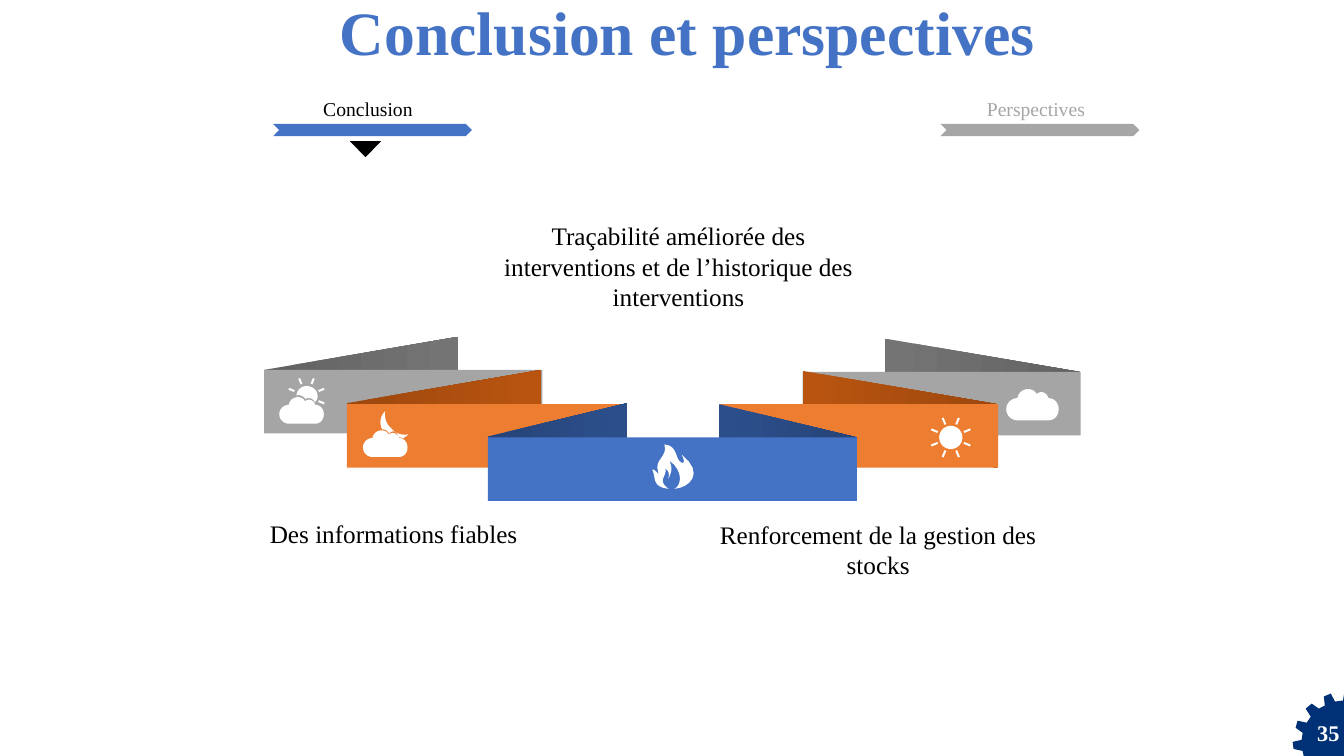
"""Build the conclusion slide with its folded ribbon, icons and step markers."""
import math
from dataclasses import dataclass

import pptx
import pptx.dml.color
import pptx.enum.shapes
import pptx.enum.text
import pptx.util

Inches = pptx.util.Inches
Shape = pptx.enum.shapes.MSO_SHAPE
Point = tuple[float, float]
Outline = list[Point]


@dataclass(frozen=True)
class Theme:
    font: str = "Times New Roman"
    blue: str = "4472C4"
    orange: str = "ED7D31"
    grey: str = "A5A5A5"
    inactive: str = "A6A6A6"
    navy: str = "003076"
    black: str = "000000"
    white: str = "FFFFFF"
    grey_fold: tuple[str, str] = ("747474", "636363")
    orange_fold: tuple[str, str] = ("B85410", "9E480E")
    blue_fold: tuple[str, str] = ("2C4F8C", "264478")
    title_size: int = 44
    body_size: int = 18
    number_size: int = 16
    step_size: int = 14


@dataclass(frozen=True)
class Step:
    name: str
    left: float
    caption_left: float
    caption_width: float
    color: str


@dataclass(frozen=True)
class Fold:
    inner: float
    outer: float
    top: float
    colors: tuple[str, str]


@dataclass(frozen=True)
class Band:
    left: float
    top: float
    width: float
    color: str
    folds: tuple[Fold, ...]


@dataclass(frozen=True)
class Caption:
    text: str
    left: float
    top: float
    width: float
    height: float


THEME = Theme()
BAND_HEIGHT = 0.63
STEPS = [
    Step("Conclusion", 2.71, 3.1, 1.1, THEME.blue),
    Step("Perspectives", 9.33, 9.68, 1.19, THEME.inactive),
]
BANDS = [
    Band(2.62, 3.67, 2.76, THEME.grey, (Fold(4.55, 2.62, 3.34, THEME.grey_fold),)),
    Band(7.96, 3.69, 2.76, THEME.grey, (Fold(8.78, 10.71, 3.36, THEME.grey_fold),)),
    Band(7.14, 4.01, 2.76, THEME.orange, (Fold(7.96, 9.89, 3.68, THEME.orange_fold),)),
    Band(3.44, 4.01, 2.76, THEME.orange, (Fold(5.37, 3.44, 3.67, THEME.orange_fold),)),
    Band(4.84, 4.34, 3.66, THEME.blue, (Fold(7.13, 8.5, 4.01, THEME.blue_fold),
                                      Fold(6.22, 4.84, 4.0, THEME.blue_fold))),
]
CAPTIONS = [
    Caption("Renforcement de la gestion des stocks", 6.71, 5.1, 4, 0.71),
    Caption("Traçabilité améliorée des interventions et de l’historique des interventions",
            4.73, 2.14, 4, 1.01),
    Caption("Des informations fiables", 2.39, 5.09, 3.03, 0.4),
]
CLOUD = [(0.22, 0), (0.25, 0), (0.29, 0.02), (0.3, 0.05), (0.31, 0.04), (0.33, 0.03),
         (0.35, 0.03), (0.38, 0.03), (0.41, 0.06), (0.42, 0.09), (0.48, 0.09), (0.52, 0.14),
         (0.52, 0.2), (0.52, 0.26), (0.48, 0.31), (0.42, 0.31), (0.32, 0.31), (0.21, 0.31),
         (0.11, 0.31), (0.05, 0.31), (0, 0.26), (0, 0.2), (0, 0.14), (0.05, 0.09),
         (0.11, 0.09), (0.12, 0.04), (0.16, 0), (0.22, 0)]
HIDDEN_SUN = [(3.04, 3.83), (3.1, 3.83), (3.15, 3.87), (3.15, 3.93), (3.15, 3.96),
              (3.14, 3.98), (3.12, 3.99), (3.12, 3.97), (3.09, 3.95), (3.07, 3.95),
              (3.05, 3.95), (3.04, 3.95), (3.03, 3.96), (3.02, 3.94), (2.99, 3.92),
              (2.96, 3.92), (2.95, 3.92), (2.94, 3.92), (2.94, 3.93), (2.94, 3.87),
              (2.99, 3.83), (3.04, 3.83)]
MOON = [(3.82, 4.08), (3.81, 4.14), (3.83, 4.21), (3.88, 4.25), (3.92, 4.3), (3.98, 4.32),
        (4.05, 4.31), (4.03, 4.33), (4.01, 4.34), (4, 4.35), (3.98, 4.34), (3.97, 4.34),
        (3.95, 4.34), (3.95, 4.31), (3.93, 4.28), (3.9, 4.28), (3.88, 4.28), (3.87, 4.29),
        (3.86, 4.3), (3.84, 4.27), (3.82, 4.26), (3.79, 4.26), (3.76, 4.2), (3.77, 4.13),
        (3.82, 4.08)]
FLAME = [(6.63, 4.85), (6.46, 4.83), (6.51, 4.74), (6.47, 4.66), (6.5, 4.65), (6.54, 4.73),
         (6.53, 4.69), (6.48, 4.55), (6.63, 4.54), (6.59, 4.41), (6.73, 4.42), (6.69, 4.56),
         (6.76, 4.59), (6.78, 4.6), (6.8, 4.58), (6.76, 4.51), (7, 4.7), (6.83, 4.84),
         (6.69, 4.85), (6.76, 4.82), (6.78, 4.67), (6.64, 4.57), (6.68, 4.66), (6.65, 4.7),
         (6.63, 4.75), (6.63, 4.73), (6.65, 4.68), (6.6, 4.65), (6.62, 4.73), (6.51, 4.76),
         (6.63, 4.85)]
GEAR_RIM = [(13.2, 6.88), (13.24, 6.96), (13.32, 6.95), (13.33, 6.89), (13.33, 7.03),
            (13.3, 7.03), (13.17, 7.08), (13.05, 7.18), (12.99, 7.34), (13.01, 7.48),
            (13.03, 7.5), (12.93, 7.5), (12.92, 7.45), (12.83, 7.43), (12.82, 7.36),
            (12.91, 7.34), (12.92, 7.27), (12.85, 7.22), (12.87, 7.15), (12.96, 7.17),
            (13, 7.11), (12.95, 7.03), (13.01, 6.98), (13.08, 7.03), (13.14, 7), (13.13, 6.91)]
GEAR_HUB = [(13.33, 7.01), (13.33, 7.5), (12.95, 7.5), (12.95, 7.44), (12.99, 7.25),
            (13.1, 7.1), (13.26, 7.02)]


def rgb(color: str) -> pptx.dml.color.RGBColor:
    """Turn a hex string into a colour."""
    return pptx.dml.color.RGBColor.from_string(color)


def curve(controls: Outline, steps: int = 8) -> Outline:
    """Sample a chain of cubic curves."""
    points = [controls[0]]
    for start in range(0, len(controls) - 1, 3):
        knots = controls[start:start + 4]
        for step in range(1, steps + 1):
            t = step / steps
            weights = [math.comb(3, k) * t**k * (1 - t) ** (3 - k) for k in range(4)]
            points.append(tuple(sum(w * knot[axis] for w, knot in zip(weights, knots))
                                for axis in (0, 1)))
    return points


def cloud(left: float, top: float, scale: float = 1) -> Outline:
    """Place a cloud outline."""
    return curve([(left + scale * x, top + scale * y) for x, y in CLOUD])


def disc(x: float, y: float, radius: float) -> Outline:
    """Return a round outline."""
    angles = [math.tau * k / 40 for k in range(40)]
    return [(x + radius * math.cos(a), y + radius * math.sin(a)) for a in angles]


def rays(x: float, y: float, near: float, far: float, turns: range) -> list[Outline]:
    """Return short bars around a centre, an eighth of a turn apart."""
    bars = []
    for turn in turns:
        angle = math.radians(22.5 + 45 * turn)
        c, s = math.cos(angle), math.sin(angle)
        corners = ((near, -0.01), (far, -0.01), (far, 0.01), (near, 0.01))
        bars.append([(x + r * c - w * s, y + r * s + w * c) for r, w in corners])
    return bars


def finish(shape, color: str) -> None:
    """Give a shape a flat fill without line or shadow."""
    shape.fill.solid()
    shape.fill.fore_color.rgb = rgb(color)
    shape.line.fill.background()
    shape.shadow.inherit = False


def add_preset(slide, kind, left: float, top: float, width: float, height: float, color: str):
    """Draw a flat preset shape."""
    shape = slide.shapes.add_shape(kind, Inches(left), Inches(top), Inches(width), Inches(height))
    finish(shape, color)
    return shape


def add_outlines(slide, outlines: list[Outline], color: str):
    """Draw closed outlines as one flat freeform."""
    builder = None
    for outline in outlines:
        first, *rest = [(Inches(x), Inches(y)) for x, y in outline]
        if builder is None:
            builder = slide.shapes.build_freeform(*first)
        else:
            builder.move_to(*first)
        builder.add_line_segments(rest, close=True)
    shape = builder.convert_to_shape()
    finish(shape, color)
    return shape


def add_fold(slide, fold: Fold) -> None:
    """Draw the shaded back of a ribbon, light towards the middle."""
    corners = [(fold.inner, fold.top), (fold.outer, fold.top + 0.33),
               (fold.outer, fold.top + 0.96), (fold.inner, fold.top + 0.62)]
    shape = add_outlines(slide, [corners], fold.colors[0])
    shape.fill.gradient()
    shape.fill.gradient_angle = 0
    shades = fold.colors if fold.inner < fold.outer else fold.colors[::-1]
    for stop, position, shade in zip(shape.fill.gradient_stops, (0.03, 0.97), shades):
        stop.position = position
        stop.color.rgb = rgb(shade)


def write(shape, text: str, size: int, color: str, bold: bool = False, wrap: bool = True):
    """Write one centred paragraph and return it."""
    shape.text_frame.word_wrap = wrap
    paragraph = shape.text_frame.paragraphs[0]
    paragraph.text = text
    paragraph.alignment = pptx.enum.text.PP_ALIGN.CENTER
    font = paragraph.font
    font.name, font.size, font.bold = THEME.font, pptx.util.Pt(size), bold
    font.color.rgb = rgb(color)
    return paragraph


def add_box(slide, left: float, top: float, width: float, height: float):
    """Add an empty text box."""
    return slide.shapes.add_textbox(Inches(left), Inches(top), Inches(width), Inches(height))


def add_title(slide, text: str) -> None:
    """Place and format the title."""
    title = slide.shapes.title
    title.left, title.top, title.width, title.height = map(Inches, (1.47, 0.28, 10.7, 0.45))
    frame = title.text_frame
    frame.margin_left = frame.margin_top = frame.margin_right = frame.margin_bottom = 0
    frame.vertical_anchor = pptx.enum.text.MSO_ANCHOR.TOP
    frame.auto_size = pptx.enum.text.MSO_AUTO_SIZE.NONE
    heading = write(title, text, THEME.title_size, THEME.blue, bold=True)
    heading.line_spacing = pptx.util.Pt(28)


def main() -> None:
    """Build and save the slide."""
    deck = pptx.Presentation()
    deck.slide_width, deck.slide_height = Inches(13.33), Inches(7.5)
    slide = deck.slides.add_slide(deck.slide_layouts[5])
    add_title(slide, "Conclusion et perspectives")
    for step in STEPS:
        add_preset(slide, Shape.CHEVRON, step.left, 1.23, 1.97, 0.12, step.color)
        color = THEME.black if step is STEPS[0] else step.color
        label = add_box(slide, step.caption_left, 0.91, step.caption_width, 0.34)
        write(label, step.name, THEME.step_size, color, wrap=False)
    marker = add_preset(slide, Shape.ISOSCELES_TRIANGLE, 3.47, 1.4, 0.31, 0.16, THEME.black)
    marker.rotation = 180
    for band in BANDS:
        for fold in band.folds:
            add_fold(slide, fold)
        add_preset(slide, Shape.RECTANGLE, band.left, band.top, band.width, BAND_HEIGHT, band.color)
    icons = [
        [cloud(9.98, 3.86)],
        [disc(9.43, 4.34, 0.115), *rays(9.43, 4.34, 0.14, 0.21, range(8))],
        [cloud(2.77, 3.94, 0.85), curve(HIDDEN_SUN), *rays(3.04, 3.93, 0.13, 0.19, range(-4, 1))],
        [cloud(3.6, 4.27, 0.85), curve(MOON)],
        [curve(FLAME)],
    ]
    for icon in icons:
        add_outlines(slide, icon, THEME.white)
    for caption in CAPTIONS:
        box = add_box(slide, caption.left, caption.top, caption.width, caption.height)
        write(box, caption.text, THEME.body_size, THEME.black)
    for part in (GEAR_RIM, GEAR_HUB):
        add_outlines(slide, [part], THEME.navy)
    number = add_box(slide, 12.94, 7.13, 0.47, 0.27)
    number.text_frame.vertical_anchor = pptx.enum.text.MSO_ANCHOR.MIDDLE
    write(number, "35", THEME.number_size, THEME.white, bold=True)
    deck.save("out.pptx")


if __name__ == "__main__":
    main()
